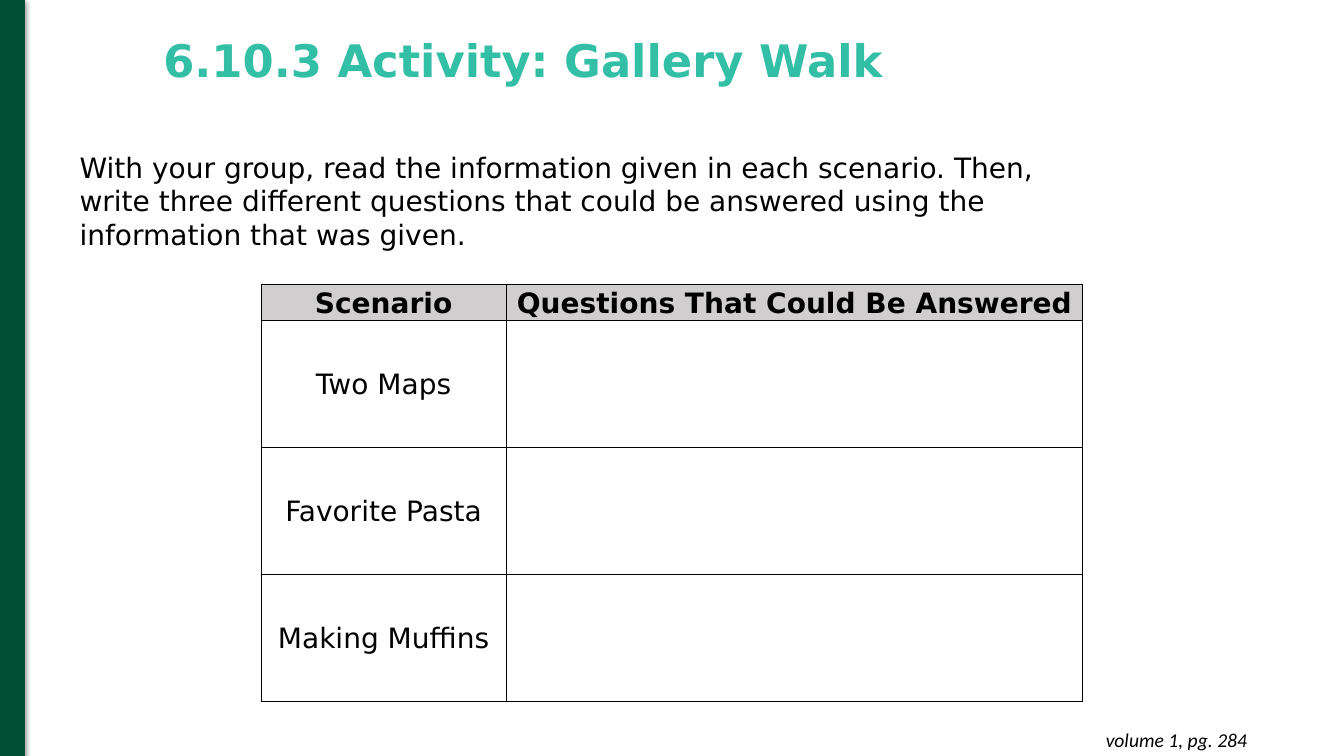
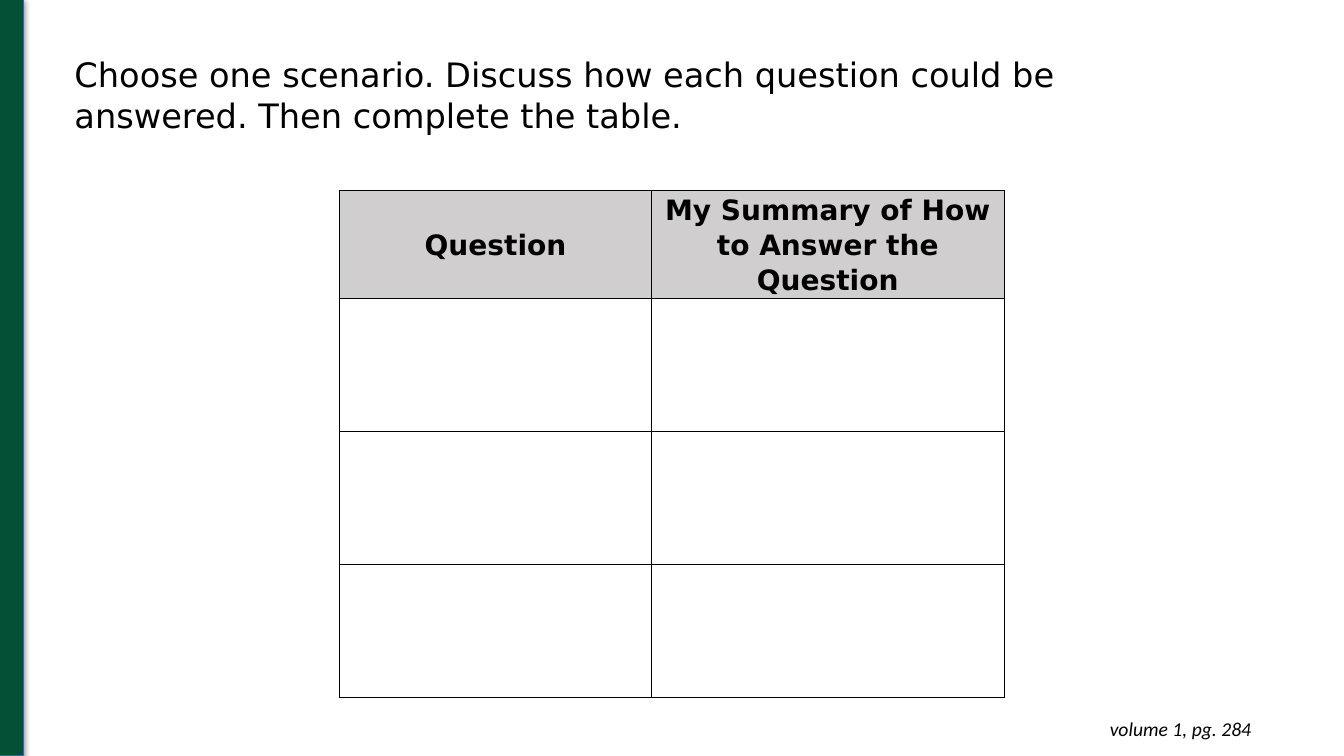
import pptx
import pptx.util
import pptx.dml.color
import pptx.enum.shapes
import pptx.enum.text
import pptx.oxml
import pptx.oxml.ns

Inches = pptx.util.Inches
Pt = pptx.util.Pt
ALIGN = pptx.enum.text.PP_ALIGN
ANCHOR = pptx.enum.text.MSO_ANCHOR

COLORS = {
    "green": "035036",
    "blue": "3465B0",
    "teal": "33BEA6",
    "black": "000000",
    "gray": "D0CECE",
}
BODY_FONT = "DejaVu Sans"
FOOTER_FONT = "Calibri"
FOOTER = "volume 1, pg. 284"
TITLE_BOX = (1.52, -0.1, 8.77, 1.45)

SLIDES = [
    {
        "title": "6.10.3 Activity: Gallery Walk",
        "band": (0, 0, 0.24, 7.51),
        "band_line": "green",
        "prompt": "With your group, read the information given in each scenario. "
                  "Then, write three different questions that could be answered "
                  "using the information that was given.",
        "prompt_box": (0.69, 1.44, 10.42, 1.11),
        "prompt_size": 20,
        "footer_box": (8, 7.12, 4.47, 0.44),
        "table_at": (2.59, 2.82),
        "cols": [2.43, 5.72],
        "row_heights": (0.35, 1.26),
        "side_margin": 0.05,
        "rows": [
            ("Scenario", "Questions That Could Be Answered"),
            ("Two Maps", ""),
            ("Favorite Pasta", ""),
            ("Making Muffins", ""),
        ],
    },
    {
        "title": None,
        "band": (-0.01, -0.01, 0.24, 7.51),
        "band_line": "blue",
        "prompt": "Choose one scenario. Discuss how each question could be "
                  "answered. Then complete the table.",
        "prompt_box": (0.64, 0.49, 10.65, 0.91),
        "prompt_size": 24,
        "footer_box": (8, 7.01, 4.51, 0.44),
        "table_at": (3.37, 1.89),
        "cols": [3.09, 3.5],
        "row_heights": (1.07, 1.32),
        "side_margin": 0.06,
        "rows": [
            ("Question", "My Summary of How to Answer the Question"),
            ("", ""),
            ("", ""),
            ("", ""),
        ],
    },
]


def rgb(name):
    return pptx.dml.color.RGBColor.from_string(COLORS[name])


def inches(values):
    return [Inches(v) for v in values]


def write(tf, text, size=20, font=BODY_FONT, color="black", bold=False,
          italic=False, align=ALIGN.LEFT, spacing=1.0):
    p = tf.paragraphs[0]
    p.alignment = align
    p.line_spacing = spacing
    r = p.add_run()
    r.text = text
    r.font.name = font
    r.font.size = Pt(size)
    r.font.bold = bold
    r.font.italic = italic
    r.font.color.rgb = rgb(color)


def add_band(slide, box, line):
    sp = slide.shapes.add_shape(pptx.enum.shapes.MSO_SHAPE.RECTANGLE, *inches(box))
    sp.fill.solid()
    sp.fill.fore_color.rgb = rgb("green")
    sp.line.color.rgb = rgb(line)
    sp.line.width = Pt(0.75)
    sp.shadow.inherit = False
    effects = sp._element.spPr.find(pptx.oxml.ns.qn("a:effectLst"))
    effects.append(pptx.oxml.parse_xml(
        f'<a:outerShdw {pptx.oxml.ns.nsdecls("a")} blurRad="{Pt(4.5)}" '
        f'dist="{Pt(1.5)}" dir="5400000" rotWithShape="0">'
        f'<a:srgbClr val="{COLORS["black"]}"><a:alpha val="50000"/></a:srgbClr>'
        '</a:outerShdw>'))


def add_text(slide, box, text, margin=None, **fmt):
    tf = slide.shapes.add_textbox(*inches(box)).text_frame
    tf.word_wrap = True
    tf.auto_size = pptx.enum.text.MSO_AUTO_SIZE.SHAPE_TO_FIT_TEXT
    if margin is not None:
        tf.margin_top = tf.margin_bottom = Inches(margin)
    write(tf, text, **fmt)


def set_borders(cell):
    tc_pr = cell._tc.get_or_add_tcPr()
    for side in "LRTB":
        tc_pr.append(pptx.oxml.parse_xml(
            f'<a:ln{side} {pptx.oxml.ns.nsdecls("a")} w="{Pt(1)}">'
            f'<a:solidFill><a:srgbClr val="{COLORS["black"]}"/></a:solidFill>'
            f'</a:ln{side}>'))


def add_table(slide, data):
    rows, cols = data["rows"], data["cols"]
    header, body = data["row_heights"]
    heights = [header] + [body] * (len(rows) - 1)
    table = slide.shapes.add_table(
        len(rows), len(cols), *inches(data["table_at"]),
        Inches(sum(cols)), Inches(sum(heights))).table
    table.first_row = table.horz_banding = False
    for column, width in zip(table.columns, cols):
        column.width = Inches(width)
    for i, (row, height) in enumerate(zip(table.rows, heights)):
        row.height = Inches(height)
        for cell, text in zip(row.cells, rows[i]):
            cell.margin_left = cell.margin_right = Inches(data["side_margin"])
            cell.margin_top = cell.margin_bottom = 0
            cell.vertical_anchor = ANCHOR.MIDDLE
            set_borders(cell)
            if i == 0:
                cell.fill.solid()
                cell.fill.fore_color.rgb = rgb("gray")
            else:
                cell.fill.background()
            if text:
                write(cell.text_frame, text, bold=i == 0,
                      align=ALIGN.CENTER, spacing=1.07)


def add_title(slide, text):
    title = slide.shapes.title
    title.left, title.top, title.width, title.height = inches(TITLE_BOX)
    tf = title.text_frame
    tf.word_wrap = True
    tf.vertical_anchor = ANCHOR.MIDDLE
    write(tf, text, size=32, color="teal", bold=True, spacing=0.9)


def build_slide(prs, data):
    title_only, blank = prs.slide_layouts[5], prs.slide_layouts[6]
    slide = prs.slides.add_slide(title_only if data["title"] else blank)
    add_band(slide, data["band"], data["band_line"])
    if data["title"]:
        add_title(slide, data["title"])
    add_text(slide, data["prompt_box"], data["prompt"], size=data["prompt_size"])
    add_text(slide, data["footer_box"], FOOTER, margin=0.1, size=14,
             font=FOOTER_FONT, italic=True, align=ALIGN.RIGHT)
    add_table(slide, data)


def main():
    prs = pptx.Presentation()
    prs.slide_width, prs.slide_height = Inches(13.33), Inches(7.5)
    for data in SLIDES:
        build_slide(prs, data)
    prs.save("out.pptx")


if __name__ == "__main__":
    main()
